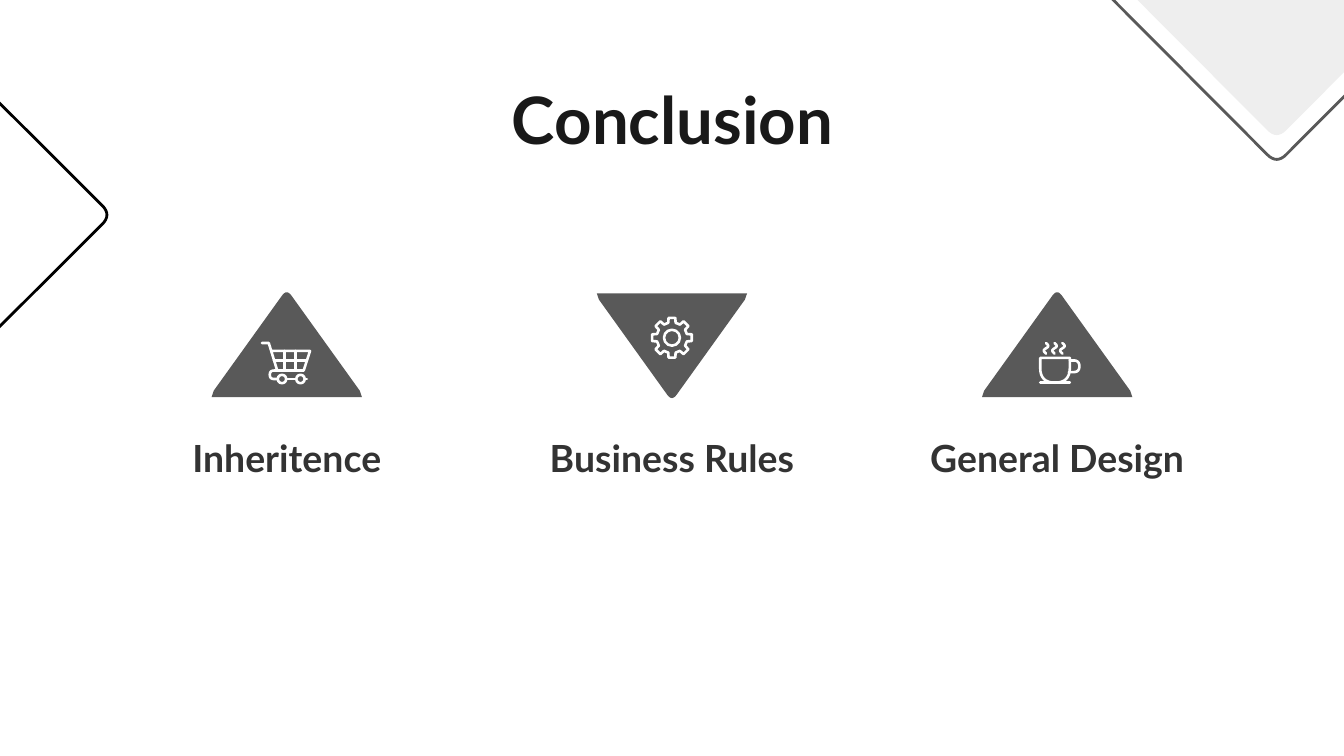
from math import cos, dist, pi, sin

from pptx import Presentation
from pptx.dml.color import RGBColor
from pptx.enum.shapes import MSO_SHAPE
from pptx.enum.text import MSO_ANCHOR, PP_ALIGN
from pptx.util import Cm, Pt

BLACK = RGBColor(0x00, 0x00, 0x00)
GREY = RGBColor(0x59, 0x59, 0x59)
PALE = RGBColor(0xEE, 0xEE, 0xEE)
WHITE = RGBColor(0xFF, 0xFF, 0xFF)
TITLE = RGBColor(0x19, 0x19, 0x19)
HEADING = RGBColor(0x33, 0x33, 0x33)
ICON_LINE = 1.4

presentation = Presentation()
presentation.slide_width = Cm(25.4)
presentation.slide_height = Cm(14.28)
slide = presentation.slides.add_slide(presentation.slide_layouts[6])


def round_corners(corners):
    points = []
    for index, (x, y, *radius) in enumerate(corners):
        if not radius:
            points.append((x, y))
            continue
        ends = []
        for near in (corners[index - 1], corners[index + 1]):
            share = radius[0] / dist((x, y), near[:2])
            ends.append((x + (near[0] - x) * share, y + (near[1] - y) * share))
        (x1, y1), (x2, y2) = ends
        for step in range(9):
            t = step / 8
            a, b, c = (1 - t) ** 2, 2 * t * (1 - t), t ** 2
            points.append((a * x1 + b * x + c * x2, a * y1 + b * y + c * y2))
    return points


def draw_outline(contours, fill=None, line=None, width=1.5, close=True):
    builder = None
    for contour in contours:
        points = [(Cm(x), Cm(y)) for x, y in round_corners(contour)]
        if builder is None:
            builder = slide.shapes.build_freeform(*points[0])
        else:
            builder.move_to(*points[0])
        builder.add_line_segments(points[1:], close=close)
    shape = builder.convert_to_shape()
    shape.shadow.inherit = False
    if fill is None:
        shape.fill.background()
    else:
        shape.fill.solid()
        shape.fill.fore_color.rgb = fill
    if line is None:
        shape.line.fill.background()
    else:
        shape.line.color.rgb = line
        shape.line.width = Pt(width)
        shape.element.spPr.get_or_add_ln().set("cap", "rnd")


for half, center, base, sideways, fill, line in (
    (3.25, 24.13, -0.25, False, None, GREY),
    (3.25, 24.13, -0.71, False, PALE, None),
    (3.2, 4.06, -1.19, True, None, BLACK),
):
    profile = [(-half, 0), (0.08 - half, 0.17), (0, half + 0.1, 0.25), (half - 0.08, 0.17), (half, 0)]
    corners = []
    for across, depth, *radius in profile:
        x, y = center + across, base + depth
        if sideways:
            x, y = base + depth, center + across
        corners.append((x, y, *radius))
    draw_outline([corners], fill, line)

columns = [(5.42, "Inheritence", True), (12.7, "Business Rules", False), (19.98, "General Design", True)]
texts = [("Conclusion", 2.01, 1.24, 21.41, 1.6, 35, TITLE, MSO_ANCHOR.TOP)]
for center, heading, upward in columns:
    texts.append((heading, center - 3.11, 8.1, 6.22, 1.09, 20, HEADING, MSO_ANCHOR.MIDDLE))
    base, direction = (7.5, -1) if upward else (5.54, 1)
    profile = [(-1.42, 0), (-1.38, 0.12), (0, 2.04, 0.15), (1.38, 0.12), (1.42, 0)]
    draw_outline([[(center + x, base + direction * y, *radius) for x, y, *radius in profile]], GREY)

for text, left, top, width, height, size, color, anchor in texts:
    box = slide.shapes.add_textbox(Cm(left), Cm(top), Cm(width), Cm(height))
    frame = box.text_frame
    frame.word_wrap = True
    frame.vertical_anchor = anchor
    frame.margin_left = frame.margin_right = frame.margin_top = frame.margin_bottom = Cm(0.25)
    paragraph = frame.paragraphs[0]
    paragraph.alignment = PP_ALIGN.CENTER
    run = paragraph.add_run()
    run.text = text
    run.font.name = "Lato"
    run.font.size = Pt(size)
    run.font.bold = True
    run.font.color.rgb = color

cart = [
    [(4.95, 6.48), (5.08, 6.48), (5.24, 7), (5.74, 7), (5.86, 6.63), (5.13, 6.63)],
    [(5.18, 6.81), (5.8, 6.81)],
    [(5.38, 6.63), (5.38, 7)],
    [(5.59, 6.63), (5.59, 7)],
    [(5.24, 7), (5.1, 7, 0.08), (5.1, 7.16, 0.08), (5.25, 7.16)],
    [(5.41, 7.16), (5.6, 7.16)],
    [(5.76, 7.16), (5.8, 7.16)],
]
draw_outline(cart, line=WHITE, width=ICON_LINE, close=False)

gear = []
for tooth in range(8):
    for offset, radius in ((-0.24, 0.29), (-0.17, 0.38), (0.17, 0.38), (0.24, 0.29)):
        angle = tooth * pi / 4 + offset
        gear.append((12.7 + radius * cos(angle), 6.38 + radius * sin(angle)))
draw_outline([gear], line=WHITE, width=ICON_LINE)

cup = [
    [(19.66, 6.76), (19.66, 7.23, 0.28), (20.22, 7.23, 0.28), (20.22, 6.76), (19.66, 6.76)],
    [(19.66, 7.23), (20.22, 7.23)],
    [(20.22, 6.81), (20.4, 6.81, 0.11), (20.4, 7.03, 0.11), (20.2, 7.03)],
]
draw_outline(cup, line=WHITE, width=ICON_LINE, close=False)
for x in (19.77, 19.93, 20.08):
    steam = [(x, 6.48), (x + 0.06, 6.54, 0.05), (x - 0.06, 6.62, 0.05), (x, 6.68)]
    draw_outline([steam], line=WHITE, width=ICON_LINE, close=False)

for x, y, radius in ((5.33, 7.16, 0.08), (5.68, 7.16, 0.08), (12.7, 6.38, 0.15)):
    ring = slide.shapes.add_shape(
        MSO_SHAPE.OVAL, Cm(x - radius), Cm(y - radius), Cm(2 * radius), Cm(2 * radius)
    )
    ring.shadow.inherit = False
    ring.fill.background()
    ring.line.color.rgb = WHITE
    ring.line.width = Pt(ICON_LINE)

presentation.save("out.pptx")
